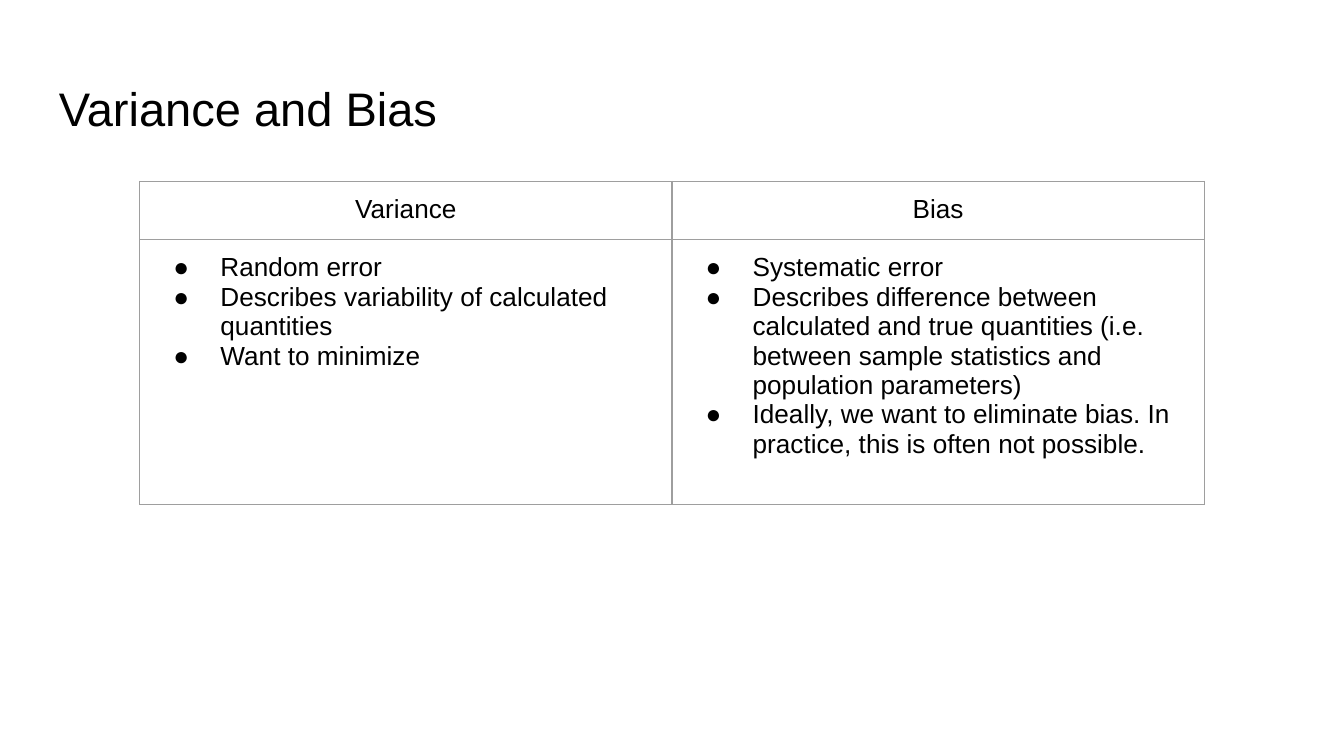
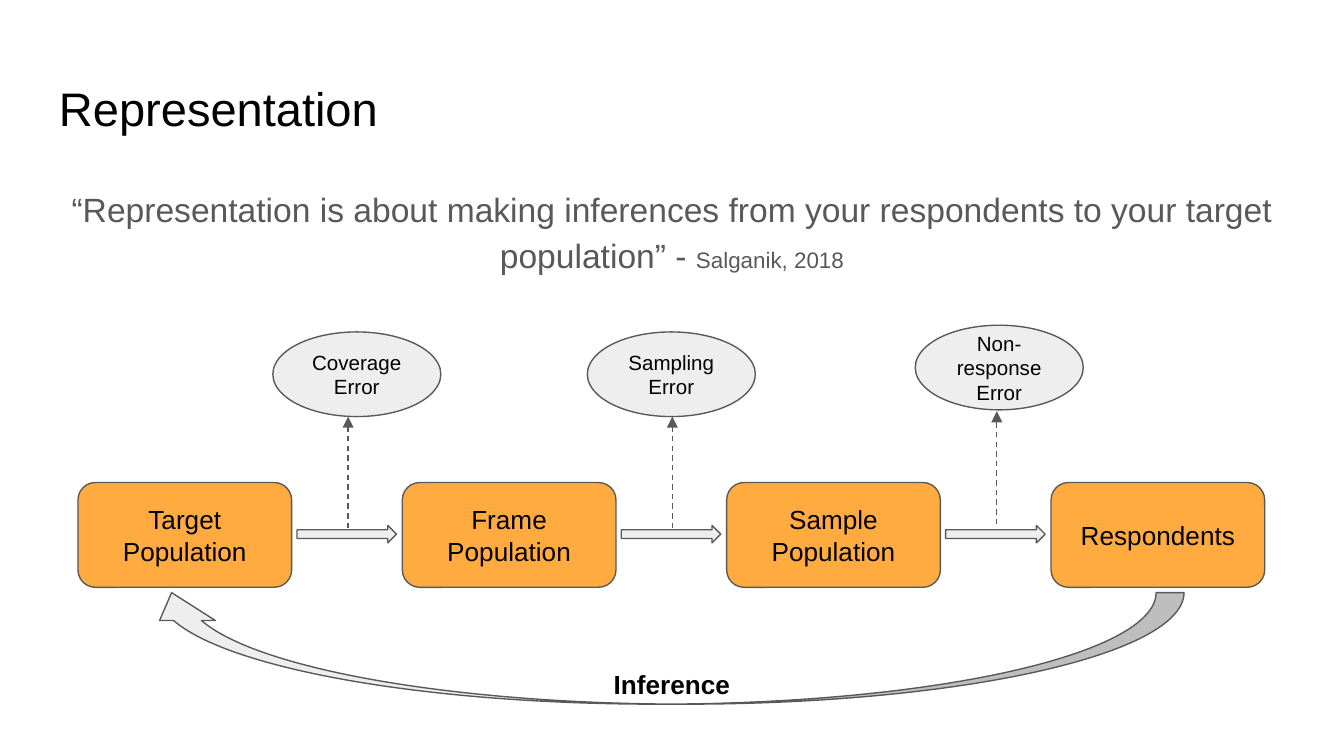
from pptx import Presentation
from pptx.dml.color import RGBColor
from pptx.enum.dml import MSO_LINE as Dash
from pptx.enum.shapes import MSO_CONNECTOR as Link, MSO_SHAPE as Kind
from pptx.enum.text import MSO_ANCHOR as Anchor, MSO_AUTO_SIZE as Fit, PP_ALIGN as Align
from pptx.oxml.ns import qn
from pptx.util import Inches, Pt
from lxml.etree import SubElement, Element

FONT = "Arial"
BLACK, GRAY, PALE, ORANGE, RULE = "000000", "595959", "EEEEEE", "FFAB40", "9E9E9E"
WIDE = Inches(10)
SIZE = dict(slide_width=WIDE, slide_height=WIDE * 9 // 16)
PAD = Inches(0.1)
FRAME = dict(margin_left=PAD, margin_right=PAD, margin_top=PAD, margin_bottom=PAD, word_wrap=True)
PLAIN = dict(first_row=False, horz_banding=False)
BODY = dict(alignment=Align.CENTER, line_spacing=1.15, space_after=Pt(12))
MID = dict(alignment=Align.CENTER)

LEFT, LAST = 0.58, 7.82
STAGES = ["Target Population", "Frame Population", "Sample Population", "Respondents"]
STEP = (LAST - LEFT) / (len(STAGES) - 1)
# label lines, left, top, bottom and top of the dashed arrow
ERRORS = [
    (["Coverage Error"], 2.03, 2.47, 3.93, 3.1),
    (["Sampling Error"], 4.37, 2.47, 3.93, 3.1),
    (["Non-", "response Error"], 6.81, 2.42, 3.9, 3.06),
]
HEADS = ["Variance", "Bias"]
POINTS = [
    ["Random error", "Describes variability of calculated quantities", "Want to minimize"],
    [
        "Systematic error",
        "Describes difference between calculated and true quantities "
        "(i.e. between sample statistics and population parameters)",
        "Ideally, we want to eliminate bias. In practice, this is often not possible.",
    ],
]


def color(text):
    return RGBColor.from_string(text)


def apply(item, values):
    for name, value in values.items():
        setattr(item, name, value)


def box(left, top, width, height):
    return [Inches(n) for n in (left, top, width, height)]


def style(font, size, shade=BLACK, bold=False):
    apply(font, dict(name=FONT, size=Pt(size), bold=bold))
    font.color.rgb = color(shade)


def bullet(para):
    props = para._p.get_or_add_pPr()
    props.set("marL", str(Inches(0.5)))
    props.set("indent", str(Inches(-0.35)))
    tint = SubElement(props, qn("a:buClr"))
    SubElement(tint, qn("a:srgbClr"), val=BLACK)
    SubElement(props, qn("a:buFont"), typeface=FONT)
    SubElement(props, qn("a:buChar"), char="●")


def write(frame, lines, size, shade=BLACK, bold=False, form=None, dots=False):
    """Write each line as a paragraph; a line is a list of (text, size) runs or a string."""
    for i, line in enumerate(lines):
        para = frame.add_paragraph() if i else frame.paragraphs[0]
        if dots:
            bullet(para)
        apply(para, form or {})
        runs = [(line, size)] if isinstance(line, str) else line
        for text, points in runs:
            run = para.add_run()
            run.text = text
            style(run.font, points, shade, bold)


def label(slide, place, lines, size, **look):
    frame = slide.shapes.add_textbox(*box(*place)).text_frame
    apply(frame, FRAME)
    write(frame, lines, size, **look)
    return frame


def shape(slide, kind, place, fill, lines=(), size=14):
    item = slide.shapes.add_shape(kind, *box(*place))
    item.shadow.inherit = False
    item.fill.solid()
    item.fill.fore_color.rgb = color(fill)
    item.line.color.rgb = color(GRAY)
    item.line.width = Pt(0.75)
    apply(item.text_frame, dict(FRAME, vertical_anchor=Anchor.MIDDLE))
    write(item.text_frame, lines, size, form=MID)
    return item


def pointer(slide, x, start, end):
    """Draw a dashed upright arrow."""
    link = slide.shapes.add_connector(Link.STRAIGHT, *box(x, start, x, end))
    apply(link.line, dict(width=Pt(0.75), dash_style=Dash.DASH))
    link.line.color.rgb = color(GRAY)
    SubElement(link.line._get_or_add_ln(), qn("a:tailEnd"), type="triangle")
    SubElement(link._element.spPr, qn("a:effectLst"))


def border(cell):
    props = cell._tc.get_or_add_tcPr()
    for i, side in enumerate("LRTB"):
        edge = Element(qn(f"a:ln{side}"), w=str(Pt(0.75)))
        fill = SubElement(edge, qn("a:solidFill"))
        SubElement(fill, qn("a:srgbClr"), val=RULE)
        props.insert(i, edge)


def grid(slide, place, heights):
    table = slide.shapes.add_table(2, 2, *box(*place)).table
    apply(table, PLAIN)
    for row, height in zip(table.rows, heights):
        row.height = Inches(height)
    for col, (head, points) in enumerate(zip(HEADS, POINTS)):
        write(table.cell(0, col).text_frame, [head], 14, form=MID)
        write(table.cell(1, col).text_frame, points, 14, dots=True)
    for cell in table.iter_cells():
        apply(cell, {k: v for k, v in FRAME.items() if k != "word_wrap"})
        cell.fill.background()
        border(cell)


def start(deck, title):
    """Add a blank slide with the shared title."""
    slide = deck.slides.add_slide(deck.slide_layouts[6])
    label(slide, (0.34, 0.49, 9.32, 0.63), [title], 25.2)
    return slide


def compare(deck):
    slide = start(deck, "Variance and Bias")
    grid(slide, (1.04, 1.35, 7.92, 2.4), (0.43, 1.97))


def flow(deck):
    slide = start(deck, "Representation")
    quote = [
        ("“Representation is about making inferences from your respondents "
         "to your target population” - ", 18),
        ("Salganik, 2018", 12),
    ]
    label(slide, (0.34, 1.26, 9.32, 0.89), [quote], 18, shade=GRAY, form=BODY)
    for i, stage in enumerate(STAGES):
        shape(slide, Kind.ROUNDED_RECTANGLE, (LEFT + i * STEP, 3.59, 1.59, 0.78), ORANGE, [stage])
    for i, (lines, left, top, low, high) in enumerate(ERRORS):
        x = LEFT + i * STEP
        shape(slide, Kind.RIGHT_ARROW, (x + 1.63, 3.91, 0.74, 0.13), PALE)
        shape(slide, Kind.OVAL, (left, top, 1.25, 0.63), PALE, lines, 11)
        pointer(slide, x + 2.01, low, high)
    back = shape(slide, Kind.CURVED_UP_ARROW, (1.07, 4.41, 7.74, 0.83), PALE)
    back._element.spPr.get_or_add_xfrm().set("flipH", "1")
    frame = label(slide, (4.45, 4.87, 1.1, 0.44), ["Inference"], 14, bold=True, form=MID)
    frame.auto_size = Fit.SHAPE_TO_FIT_TEXT


def main():
    deck = Presentation()
    apply(deck, SIZE)
    compare(deck)
    flow(deck)
    deck.save("out.pptx")


if __name__ == "__main__":
    main()
